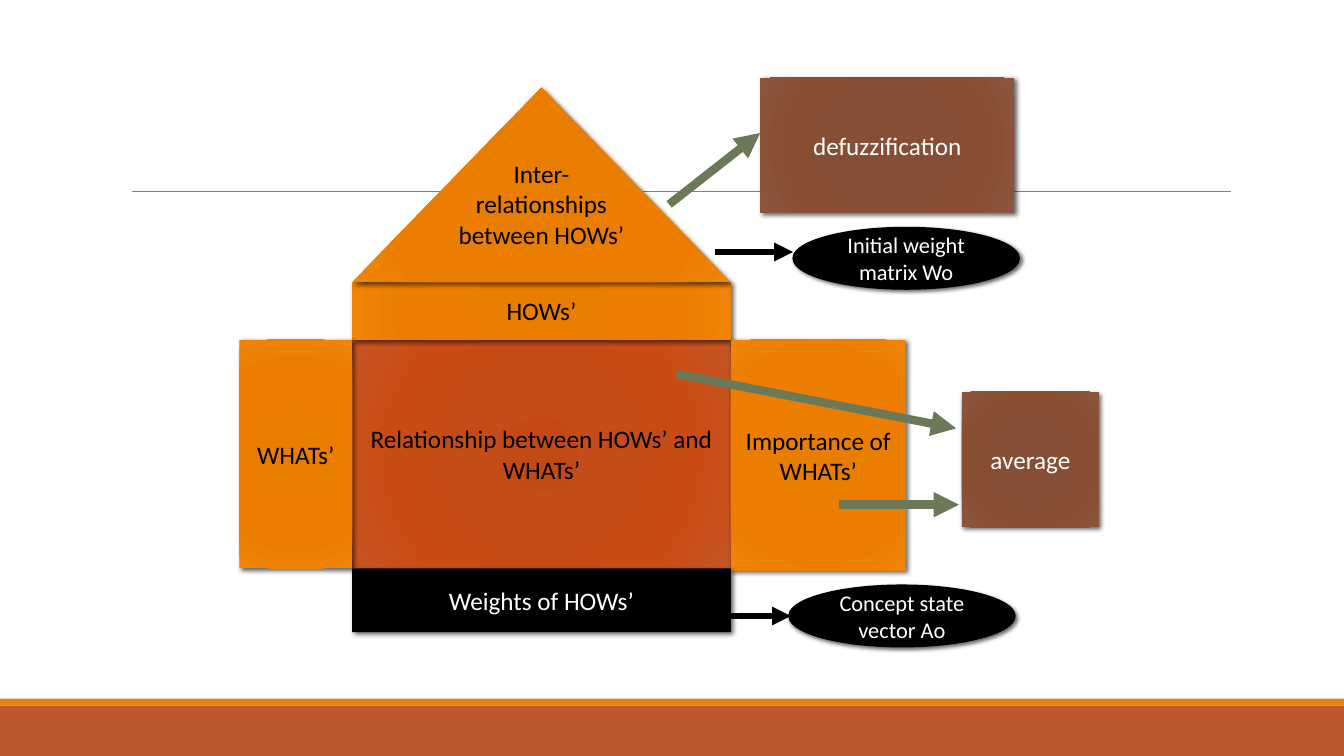
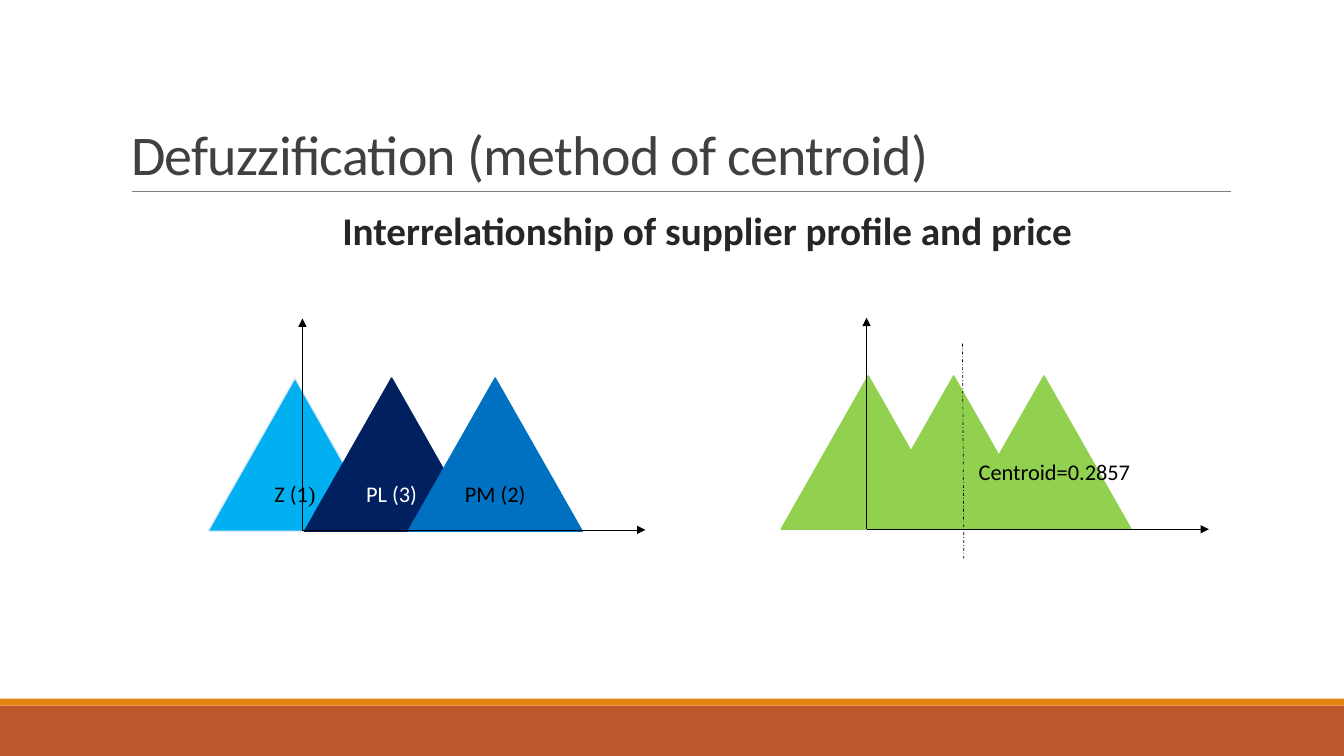
from dataclasses import dataclass
from typing import Optional

from lxml.etree import SubElement
from pptx import Presentation
from pptx.dml.color import RGBColor
from pptx.enum.dml import MSO_LINE_DASH_STYLE as Dash
from pptx.enum.shapes import MSO_CONNECTOR as ConnectorKind, MSO_SHAPE as ShapeKind
from pptx.enum.text import MSO_ANCHOR as Anchor, MSO_AUTO_SIZE as AutoSize, PP_ALIGN as Align
from pptx.oxml.ns import qn
from pptx.util import Pt

FONT = "Calibri"
BLACK, WHITE = "000000", "FFFFFF"
TITLE_GREY, HEADING_GREY, RULE_GREY = "404040", "262626", "808080"
RUST, AMBER, SAGE, GREEN = "BD582C", "E48312", "6B7959", "92D050"
ORANGE = ("E57B00", "E87D00", "EB7E00", "EF8407")
RED = ("C44A15", "C34C18", "C94C15", "C45525")
BROWN = ("874C32", "864E34", "8A4E33", "8A553D")
GRADIENT_STOPS = (0, 34, 70, 100)
PEAK_WIDTH, PEAK_HEIGHT = 124.5, 109.5


@dataclass(frozen=True)
class Block:
    left: float
    top: float
    width: float
    height: float
    fill: str | tuple[str, ...]
    text: str = ""
    text_color: str = BLACK
    size: float = 18
    kind: ShapeKind = ShapeKind.RECTANGLE
    outline: Optional[str] = None
    blur: float = 0
    line_spacing: float = 1
    bottom_inset: float = 3.6


@dataclass(frozen=True)
class Stroke:
    start: tuple[float, float]
    end: tuple[float, float]
    color: str
    width: float
    arrow: bool = True
    dash: Optional[Dash] = None


def rgb(value: str) -> RGBColor:
    return RGBColor.from_string(value)


def format_runs(paragraph, size: float, color: str, bold: bool = False) -> None:
    for run in paragraph.runs:
        run.font.name = FONT
        run.font.size = Pt(size)
        run.font.color.rgb = rgb(color)
        run.font.bold = bold


def fill_radial(shape, colors: tuple[str, ...]) -> None:
    shape.fill.gradient()
    gradient = shape.element.spPr.find(qn("a:gradFill"))
    for child in list(gradient):
        gradient.remove(child)
    stops = SubElement(gradient, qn("a:gsLst"))
    for position, color in zip(GRADIENT_STOPS, colors):
        stop = SubElement(stops, qn("a:gs"), pos=str(position * 1000))
        SubElement(stop, qn("a:srgbClr"), val=color)
    circle = SubElement(gradient, qn("a:path"), path="circle")
    SubElement(circle, qn("a:fillToRect"), dict.fromkeys("ltrb", "100000"))


def add_shadow(shape, blur: float) -> None:
    effects = shape.element.spPr.find(qn("a:effectLst"))
    shadow = SubElement(effects, qn("a:outerShdw"), blurRad=str(Pt(blur)),
                        dist=str(Pt(2)), dir="2700000", algn="tl", rotWithShape="0")
    color = SubElement(shadow, qn("a:srgbClr"), val=BLACK)
    SubElement(color, qn("a:alpha"), val="60000")


def draw_block(slide, block: Block):
    shape = slide.shapes.add_shape(block.kind, Pt(block.left), Pt(block.top),
                                   Pt(block.width), Pt(block.height))
    shape.shadow.inherit = False
    if isinstance(block.fill, tuple):
        fill_radial(shape, block.fill)
    else:
        shape.fill.solid()
        shape.fill.fore_color.rgb = rgb(block.fill)
    if block.outline:
        shape.line.color.rgb = rgb(block.outline)
        shape.line.width = Pt(1)
    else:
        shape.line.fill.background()
    if block.blur:
        add_shadow(shape, block.blur)
    if block.text:
        frame = shape.text_frame
        frame.text = block.text
        frame.word_wrap = True
        frame.vertical_anchor = Anchor.MIDDLE
        frame.margin_bottom = Pt(block.bottom_inset)
        paragraph = frame.paragraphs[0]
        paragraph.alignment = Align.CENTER
        paragraph.line_spacing = block.line_spacing
        format_runs(paragraph, block.size, block.text_color)
    return shape


def draw_stroke(slide, stroke: Stroke):
    connector = slide.shapes.add_connector(
        ConnectorKind.STRAIGHT, *(Pt(value) for value in stroke.start + stroke.end))
    connector.line.color.rgb = rgb(stroke.color)
    connector.line.width = Pt(stroke.width)
    if stroke.dash:
        connector.line.dash_style = stroke.dash
    properties = connector.element.spPr
    if stroke.arrow:
        SubElement(properties.find(qn("a:ln")), qn("a:tailEnd"), type="triangle")
    SubElement(properties, qn("a:effectLst"))
    return connector


def draw_text(slide, left: float, top: float, width: float, height: float,
              text: str, size: float, color: str, bold: bool = False,
              align: Align = Align.LEFT, line_spacing: float = 1) -> None:
    frame = slide.shapes.add_textbox(Pt(left), Pt(top), Pt(width), Pt(height)).text_frame
    frame.text = text
    frame.word_wrap = True
    paragraph = frame.paragraphs[0]
    paragraph.alignment = align
    paragraph.line_spacing = line_spacing
    format_runs(paragraph, size, color, bold)


def set_title(slide, text: str) -> None:
    title = slide.shapes.title
    title.left, title.top, title.width, title.height = Pt(86.5), Pt(22.5), Pt(792), Pt(114.5)
    frame = title.text_frame
    frame.text = text
    frame.auto_size = AutoSize.NONE
    frame.vertical_anchor = Anchor.BOTTOM
    paragraph = frame.paragraphs[0]
    paragraph.alignment = Align.LEFT
    paragraph.line_spacing = 0.85
    format_runs(paragraph, 40, TITLE_GREY)
    for run in paragraph.runs:
        run.font.element.set("spc", "-50") if hasattr(run.font, "element") else \
            run._r.get_or_add_rPr().set("spc", "-50")


def move_to_master(presentation, slide) -> None:
    tree = presentation.slide_master.element.cSld.spTree
    for offset, shape in enumerate(list(slide.shapes)):
        shape.element.xpath(".//p:cNvPr")[0].set("id", str(101 + offset))
        tree.insert(2 + offset, shape.element)


def decorate_master(presentation, slide) -> None:
    draw_block(slide, Block(0, 504, 960, 36, RUST))
    draw_block(slide, Block(0, 499, 960, 5, AMBER))
    draw_stroke(slide, Stroke((94.5, 136.8), (879, 136.8), RULE_GREY, 0.5, arrow=False))
    move_to_master(presentation, slide)


def build_house(slide) -> None:
    left, width = 251.5, 270.5
    right = left + width
    eaves, ceiling, floor = 201.6, 242.6, 406
    room_height = floor - ceiling
    for block in (
        Block(left, ceiling, width, room_height, RED,
              "Relationship between HOWs’ and WHATs’", blur=3.5),
        Block(left, eaves, width, ceiling - eaves, ORANGE, "HOWs’", blur=3.5),
        Block(right, ceiling, 125, 165, ORANGE, "Importance of WHATs’", blur=3.5),
        Block(171, ceiling, left - 171, room_height, ORANGE, "WHATs’", blur=3.5),
        Block(left, floor, width, 45.5, BLACK, "Weights of HOWs’", WHITE, blur=3.5),
        Block(543, 55.5, 181.5, 96.5, BROWN, "defuzzification", WHITE, blur=3.5),
    ):
        draw_block(slide, block)
    for start, end in (((599, 360.5), (685, 360.5)), ((483, 267), (683, 306))):
        draw_stroke(slide, Stroke(start, end, SAGE, 6))
    draw_block(slide, Block(687, 280, 98, 96.5, BROWN, "average", WHITE, blur=3.5))
    draw_stroke(slide, Stroke((478, 146), (543, 95), SAGE, 6))
    for oval_left, oval_top, text in ((563.5, 418, "Concept state vector Ao"),
                                      (566.5, 162.5, "Initial weight matrix Wo")):
        draw_block(slide, Block(oval_left, oval_top, 161.5, 44, BLACK, text, WHITE, 16,
                                ShapeKind.OVAL, BLACK, blur=3))
    for start, end in (((510.5, 180), (566.5, 180)), ((right, 440), (565, 440))):
        draw_stroke(slide, Stroke(start, end, BLACK, 4.5))
    draw_block(slide, Block(left, 62.6, width, eaves - 62.6, ORANGE,
                            "Inter-relationships between HOWs’", blur=3.5,
                            kind=ShapeKind.ISOSCELES_TRIANGLE, bottom_inset=46))


def draw_peak(slide, left: float, top: float, fill: str, outline: str,
              text: str = "", text_color: str = BLACK):
    return draw_block(slide, Block(left, top, PEAK_WIDTH, PEAK_HEIGHT, fill, text, text_color,
                                   16, ShapeKind.ISOSCELES_TRIANGLE, outline,
                                   line_spacing=1.07))


def draw_axis(slide, origin: tuple[float, float], across: float, up: float) -> None:
    end = (origin[0] + across, origin[1] - up)
    draw_stroke(slide, Stroke(origin, end, BLACK, 0.5))


def build_centroid(slide) -> None:
    set_title(slide, "Defuzzification (method of centroid)")
    draw_text(slide, 154, 143.5, 702, 45, "Interrelationship of supplier profile and price",
              28, HEADING_GREY, bold=True, align=Align.CENTER)

    origin = (216, 378.5)
    zero_peak = draw_peak(slide, 148.5, 270, "00B0F0", "DEEBF7", "Z (1")
    paragraph = zero_peak.text_frame.paragraphs[0]
    paragraph.add_run().text = ")"
    format_runs(paragraph, 16, BLACK)
    paragraph.runs[-1].font.name = "Times New Roman"
    draw_axis(slide, origin, 0, 151)
    draw_peak(slide, 217.5, 270, "002060", "002060", "PL (3)", WHITE)
    draw_peak(slide, 291.5, 270, "0070C0", "0070C0", "PM (2)")
    draw_axis(slide, origin, 245, 0)

    origin = (619, 378)
    for left in (558, 619, 683.5):
        draw_peak(slide, left, 268.5, GREEN, GREEN)
    draw_axis(slide, origin, 244.5, 0)
    draw_stroke(slide, Stroke((687.5, 245.5), (688.5, 399.5), BLACK, 0.5,
                              arrow=False, dash=Dash.DASH_DOT))
    draw_axis(slide, origin, 0, 151)
    draw_text(slide, 692, 322.5, 128, 27.5, "Centroid=0.2857", 16, BLACK, line_spacing=1.07)


def main() -> None:
    presentation = Presentation()
    presentation.slide_width, presentation.slide_height = Pt(960), Pt(540)
    title_only, blank = presentation.slide_layouts[5], presentation.slide_layouts[6]
    house_slide = presentation.slides.add_slide(blank)
    decorate_master(presentation, house_slide)
    build_house(house_slide)
    build_centroid(presentation.slides.add_slide(title_only))
    presentation.save("out.pptx")


if __name__ == "__main__":
    main()
